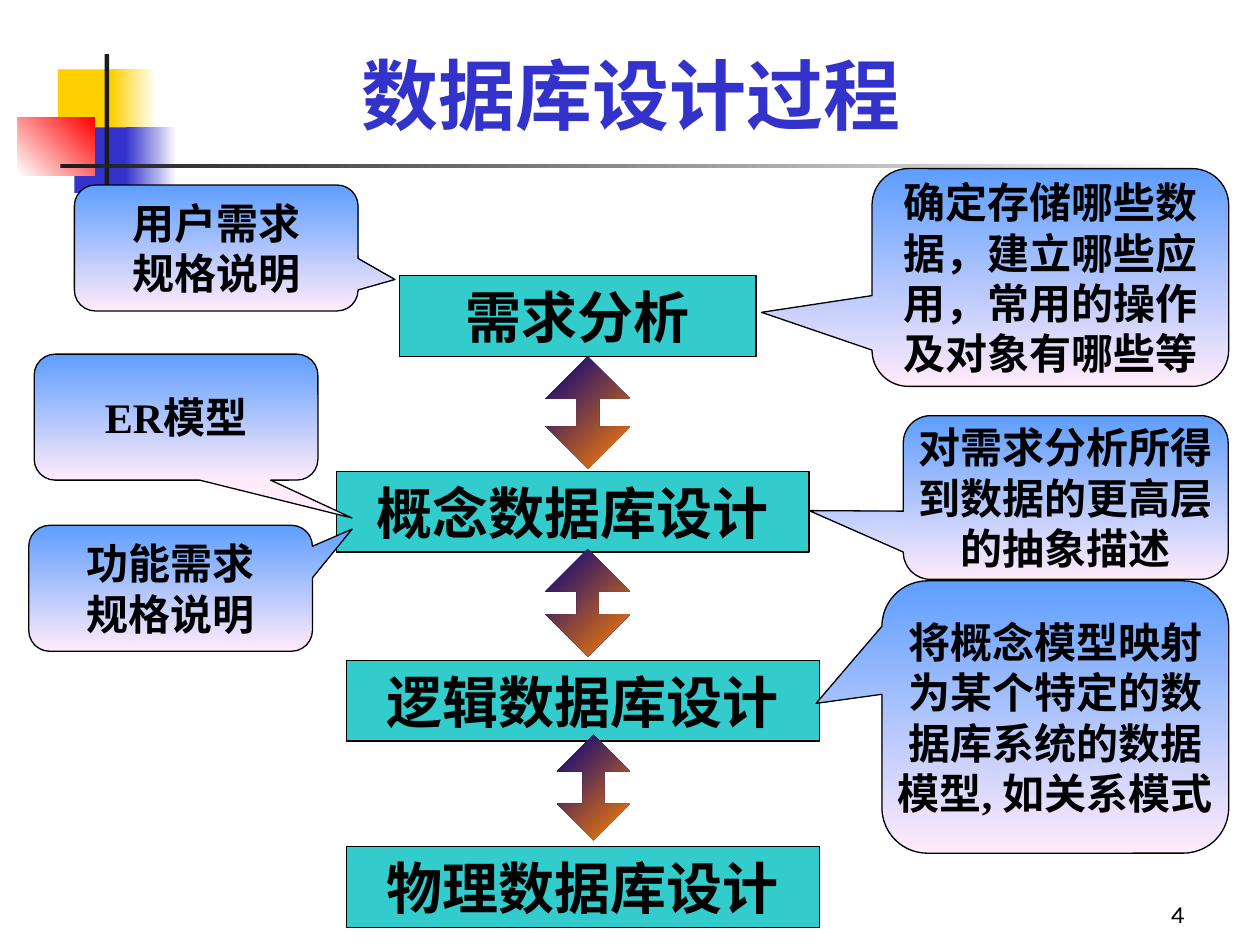
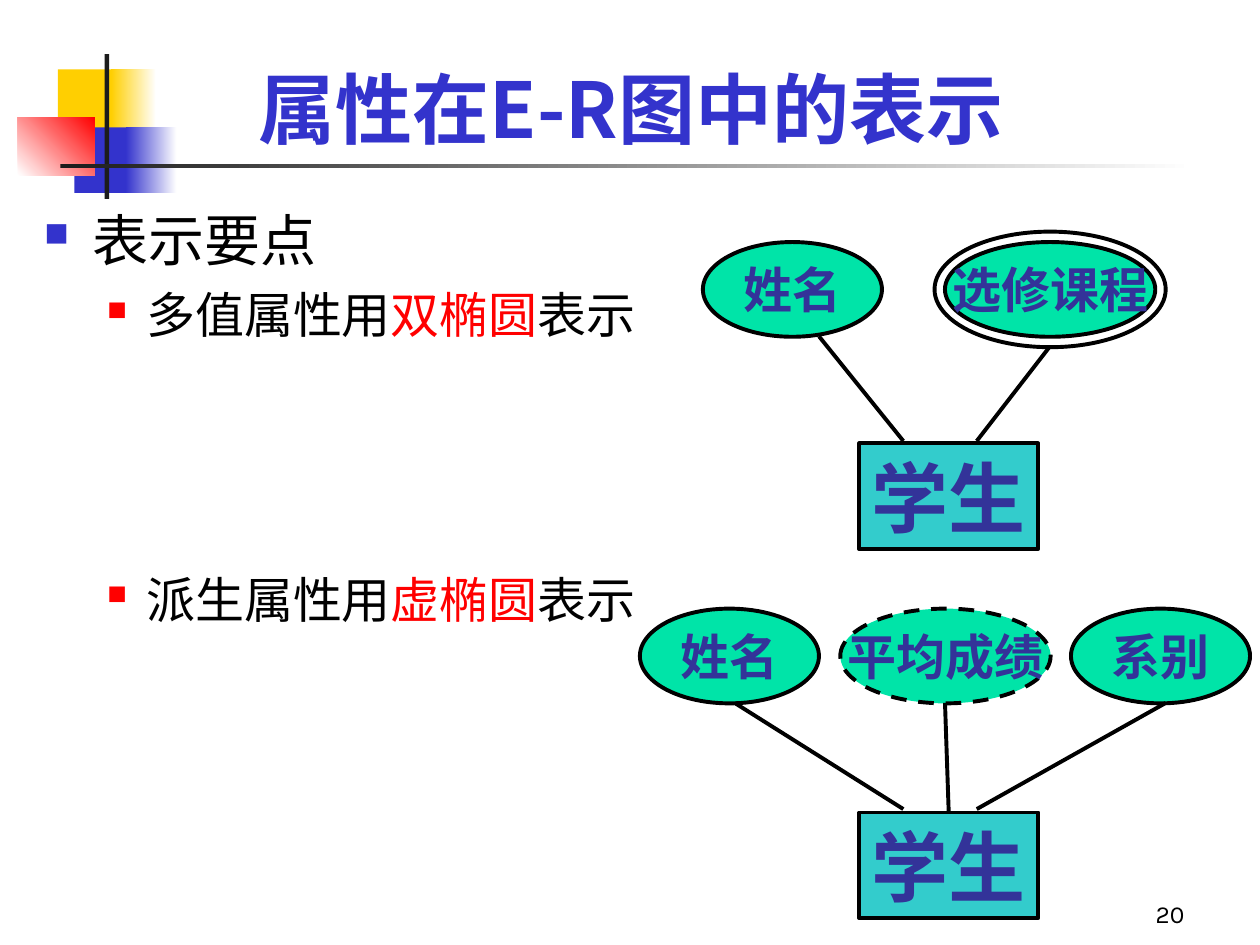
"""Build two slides: the database design process and attributes in E-R diagrams."""
import dataclasses

import lxml.etree
import pptx
import pptx.dml.color
import pptx.enum.dml
import pptx.enum.shapes
import pptx.enum.text
import pptx.oxml.ns
import pptx.util

Cm = pptx.util.Cm
Pt = pptx.util.Pt
Shape = pptx.enum.shapes.MSO_SHAPE
Align = pptx.enum.text.PP_ALIGN
Anchor = pptx.enum.text.MSO_ANCHOR


@dataclasses.dataclass(frozen=True)
class Theme:
    black: str = "000000"
    white: str = "FFFFFF"
    ink: str = "1C1C1C"
    blue: str = "3333CC"
    red: str = "FF0000"
    yellow: str = "FFCF01"
    teal: str = "33CCCC"
    green: str = "00E4A8"
    indigo: str = "333399"
    callout: tuple = ("5E9EFF", "FFEBFA", 90)
    arrow: tuple = ("000082", "FF8200", 45)
    sans: str = "Karla"
    cjk: str = "Noto Sans CJK SC"
    serif: str = "Times New Roman"
    title_size: int = 44
    entity_size: int = 44
    stage_size: int = 32
    point_size: int = 32
    detail_size: int = 28
    attribute_size: int = 28
    callout_size: int = 24
    number_size: int = 14
    thin: float = 0.75
    thick: float = 2.25


THEME = Theme()

DECORATION = [
    ((1.17, 1.4, 1.22, 1.32), THEME.yellow),
    ((2.24, 1.4, 0.91, 1.32), (THEME.yellow, THEME.white, 0)),
    ((1.5, 2.57, 1.17, 1.32), THEME.blue),
    ((2.54, 2.57, 1.02, 1.32), (THEME.blue, THEME.white, 0)),
    ((0.36, 2.36, 1.55, 1.17), (THEME.white, THEME.red, 315)),
    ((2.11, 1.09, 0.09, 2.92), THEME.ink),
    ((1.22, 3.3, 22.86, 0.09), (THEME.ink, THEME.white, 0)),
]

PROCESS = {"title": "数据库设计过程", "font": THEME.sans, "at": (1.9, 0.84, 21.64, 2.11), "number": "4"}
STAGES = [
    ("需求分析", (8.05, 5.56, 7.19, 1.63)),
    ("概念数据库设计", (6.78, 9.5, 9.53, 1.63)),
    ("逻辑数据库设计", (6.99, 13.31, 9.53, 1.63)),
    ("物理数据库设计", (6.99, 17.07, 9.53, 1.63)),
]
STAGE_ARROWS = [
    ((11.23, 14.81, 1.47, 2.13), 0.29),
    ((11, 7.19, 1.7, 2.26), 0.27),
    ((11, 11.07, 1.7, 2.16), 0.26),
]
EXPLANATIONS = [
    ("确定存储哪些数据，建立哪些应用，常用的操作及对象有哪些等", (17.58, 3.4, 7.19, 4.39), (-0.81, 0.16)),
    ("对需求分析所得到数据的更高层的抽象描述", (18.21, 8.38, 6.55, 3.3), (-0.79, 0.08)),
    ("将概念模型映射为某个特定的数据库系统的数据模型, 如关系模式", (17.78, 11.71, 6.99, 5.49), (-0.69, -0.05)),
]
PRODUCTS = [
    ("ER模型", (0.69, 7.14), (0.62, 0.8)),
    ("功能需求\n规格说明", (0.58, 10.59), (0.64, -0.47)),
    ("用户需求\n规格说明", (1.5, 3.73), (0.63, 0.25)),
]
PRODUCT_SIZE = (5.72, 2.54)

ATTRIBUTES = {"title": "属性在E-R图中的表示", "font": THEME.cjk, "at": (1.9, 0.64, 21.64, 2.59), "number": "20"}
POINTS = [
    {"spans": [("表示要点", THEME.black)], "size": THEME.point_size, "bullet": (THEME.blue, 60),
     "left": 0.97, "hang": 0.97, "before": 0, "level": 0},
    {"spans": [("多值属性用", THEME.black), ("双椭圆", THEME.red), ("表示", THEME.black)],
     "size": THEME.detail_size, "bullet": (THEME.red, 55), "left": 2.06, "hang": 0.79, "before": 7, "level": 1},
    {"spans": [("派生属性用", THEME.black), ("虚椭圆", THEME.red), ("表示", THEME.black)],
     "size": THEME.detail_size, "bullet": (THEME.red, 55), "left": 2.06, "hang": 0.79, "before": 129, "level": 1},
]
ENTITY = "学生"
ENTITY_LEFT, ENTITY_SIZE = 17.32, (3.61, 2.13)
ATTRIBUTE_HEIGHT = 1.91
RING_MARGIN = 0.21
DIAGRAMS = [
    {"entity_top": 8.94, "attribute_top": 4.88,
     "attributes": [("姓名", 14.17, 3.61, "plain"), ("选修课程", 19.05, 4.24, "double")],
     "links": [((21.16, 6.99), (19.69, 8.89)), ((16.51, 6.78), (18.21, 8.89))], "middle": None},
    {"entity_top": 16.38, "attribute_top": 12.27,
     "attributes": [("姓名", 12.9, 3.61, "plain"), ("平均成绩", 16.94, 4.24, "dashed"),
                    ("系别", 21.59, 3.61, "plain")],
     "links": [((14.81, 14.17), (18.21, 16.31)), ((23.5, 14.17), (19.69, 16.31))], "middle": (19.05, 14.17)},
]


def rgb(value):
    return pptx.dml.color.RGBColor.from_string(value)


def lengths(values):
    return [Cm(value) for value in values]


def add_span(para, text, *, size, font, color=THEME.black, bold=False):
    span = para.add_run()
    span.text = text
    span.font.size = Pt(size)
    span.font.name = font
    span.font.bold = bold
    span.font.color.rgb = rgb(color)


def write(box, text, *, align=Align.CENTER, anchor=Anchor.MIDDLE, wrap=True, inset=None, **style):
    frame = box.text_frame
    frame.auto_size = pptx.enum.text.MSO_AUTO_SIZE.NONE
    frame.word_wrap = wrap
    frame.vertical_anchor = anchor
    if inset is not None:
        frame.margin_left = frame.margin_right = frame.margin_top = frame.margin_bottom = Cm(inset)
    for index, line in enumerate(text.split("\n")):
        para = frame.add_paragraph() if index else frame.paragraphs[0]
        para.alignment = align
        add_span(para, line, **style)


def paint(shape, fill):
    if fill is None:
        shape.fill.background()
    elif isinstance(fill, str):
        shape.fill.solid()
        shape.fill.fore_color.rgb = rgb(fill)
    else:
        start, end, clockwise = fill
        shape.fill.gradient()
        shape.fill.gradient_angle = (360 - clockwise) % 360
        for stop, color, position in zip(shape.fill.gradient_stops, (start, end), (0, 1)):
            stop.color.rgb = rgb(color)
            stop.position = position


def add_figure(shapes, kind, at, fill=None, width=None, adjust=(), dashed=False):
    shape = shapes.add_shape(kind, *lengths(at))
    shape.shadow.inherit = False
    paint(shape, fill)
    if width:
        shape.line.color.rgb = rgb(THEME.black)
        shape.line.width = Pt(width)
    else:
        shape.line.fill.background()
    if dashed:
        shape.line.dash_style = pptx.enum.dml.MSO_LINE.DASH
    for index, value in enumerate(adjust):
        shape.adjustments[index] = value
    return shape


def add_link(shapes, start, end):
    link = shapes.add_connector(pptx.enum.shapes.MSO_CONNECTOR.STRAIGHT, *lengths(start + end))
    link.line.color.rgb = rgb(THEME.black)
    link.line.width = Pt(THEME.thick)
    properties = link._element.spPr
    lxml.etree.SubElement(properties, pptx.oxml.ns.qn("a:effectLst"))
    return link


def add_page(deck, content):
    page = deck.slides.add_slide(deck.slide_layouts[5])
    for at, fill in DECORATION:
        add_figure(page.shapes, Shape.RECTANGLE, at, fill)
    number = page.shapes.add_textbox(*lengths((18.85, 17.58, 5.28, 1.27)))
    write(number, content["number"], align=Align.RIGHT, anchor=Anchor.BOTTOM,
          size=THEME.number_size, font=THEME.sans)
    title = page.shapes.title
    title.left, title.top, title.width, title.height = lengths(content["at"])
    write(title, content["title"], anchor=Anchor.BOTTOM, size=THEME.title_size,
          font=content["font"], color=THEME.blue, bold=True)
    return page


def add_callout(page, text, at, tip, **layout):
    box = add_figure(page.shapes, Shape.ROUNDED_RECTANGULAR_CALLOUT, at, THEME.callout, THEME.thin, tip)
    write(box, text, size=THEME.callout_size, font=THEME.serif, bold=True, **layout)


def add_bullet(para, color, percent):
    properties = para._p.get_or_add_pPr()
    bullet_color = lxml.etree.SubElement(properties, pptx.oxml.ns.qn("a:buClr"))
    lxml.etree.SubElement(bullet_color, pptx.oxml.ns.qn("a:srgbClr"), val=color)
    lxml.etree.SubElement(properties, pptx.oxml.ns.qn("a:buSzPct"), val=str(percent * 1000))
    lxml.etree.SubElement(properties, pptx.oxml.ns.qn("a:buChar"), char="■")


def add_points(page):
    frame = page.shapes.add_textbox(*lengths((0.64, 4.01, 24.23, 14.4))).text_frame
    frame.word_wrap = True
    for index, point in enumerate(POINTS):
        para = frame.add_paragraph() if index else frame.paragraphs[0]
        para.alignment = Align.JUSTIFY
        para.level = point["level"]
        para.space_before = Pt(point["before"])
        properties = para._p.get_or_add_pPr()
        properties.set("marL", str(Cm(point["left"])))
        properties.set("indent", str(-Cm(point["hang"])))
        add_bullet(para, *point["bullet"])
        for text, color in point["spans"]:
            add_span(para, text, size=point["size"], font=THEME.sans, color=color)


def add_diagram(page, diagram):
    shapes = page.shapes.add_group_shape().shapes
    entity = add_figure(shapes, Shape.RECTANGLE, (ENTITY_LEFT, diagram["entity_top"], *ENTITY_SIZE),
                        THEME.teal, THEME.thick)
    write(entity, ENTITY, wrap=False, size=THEME.entity_size, font=THEME.serif,
          color=THEME.indigo, bold=True)
    top = diagram["attribute_top"]
    for name, left, width, style in diagram["attributes"]:
        oval = add_figure(shapes, Shape.OVAL, (left, top, width, ATTRIBUTE_HEIGHT), THEME.green,
                          THEME.thick, dashed=style == "dashed")
        write(oval, name, wrap=False, size=THEME.attribute_size, font=THEME.serif,
              color=THEME.indigo, bold=True)
        if style == "double":
            ring = (left - RING_MARGIN, top - RING_MARGIN,
                    width + 2 * RING_MARGIN, ATTRIBUTE_HEIGHT + 2 * RING_MARGIN)
            add_figure(shapes, Shape.OVAL, ring, width=THEME.thick)
    for start, end in diagram["links"]:
        add_link(shapes, start, end)
    if diagram["middle"]:
        end = (ENTITY_LEFT + ENTITY_SIZE[0] / 2, diagram["entity_top"])
        add_link(shapes, diagram["middle"], end).end_connect(entity, 0)


def build_process(deck):
    page = add_page(deck, PROCESS)
    for text, at in STAGES:
        box = add_figure(page.shapes, Shape.RECTANGLE, at, THEME.teal, THEME.thin)
        write(box, text, size=THEME.stage_size, font=THEME.serif, bold=True)
    for text, at, tip in EXPLANATIONS:
        add_callout(page, text, at, tip, inset=0)
    for at, head in STAGE_ARROWS:
        add_figure(page.shapes, Shape.UP_DOWN_ARROW, at, THEME.arrow, adjust=(0.32, head))
    for text, corner, tip in PRODUCTS:
        add_callout(page, text, corner + PRODUCT_SIZE, tip, wrap=False)


def build_attributes(deck):
    page = add_page(deck, ATTRIBUTES)
    add_points(page)
    for diagram in DIAGRAMS:
        add_diagram(page, diagram)


def main():
    deck = pptx.Presentation()
    deck.slide_width, deck.slide_height = lengths((25.4, 19.05))
    build_process(deck)
    build_attributes(deck)
    deck.save("out.pptx")


if __name__ == "__main__":
    main()
